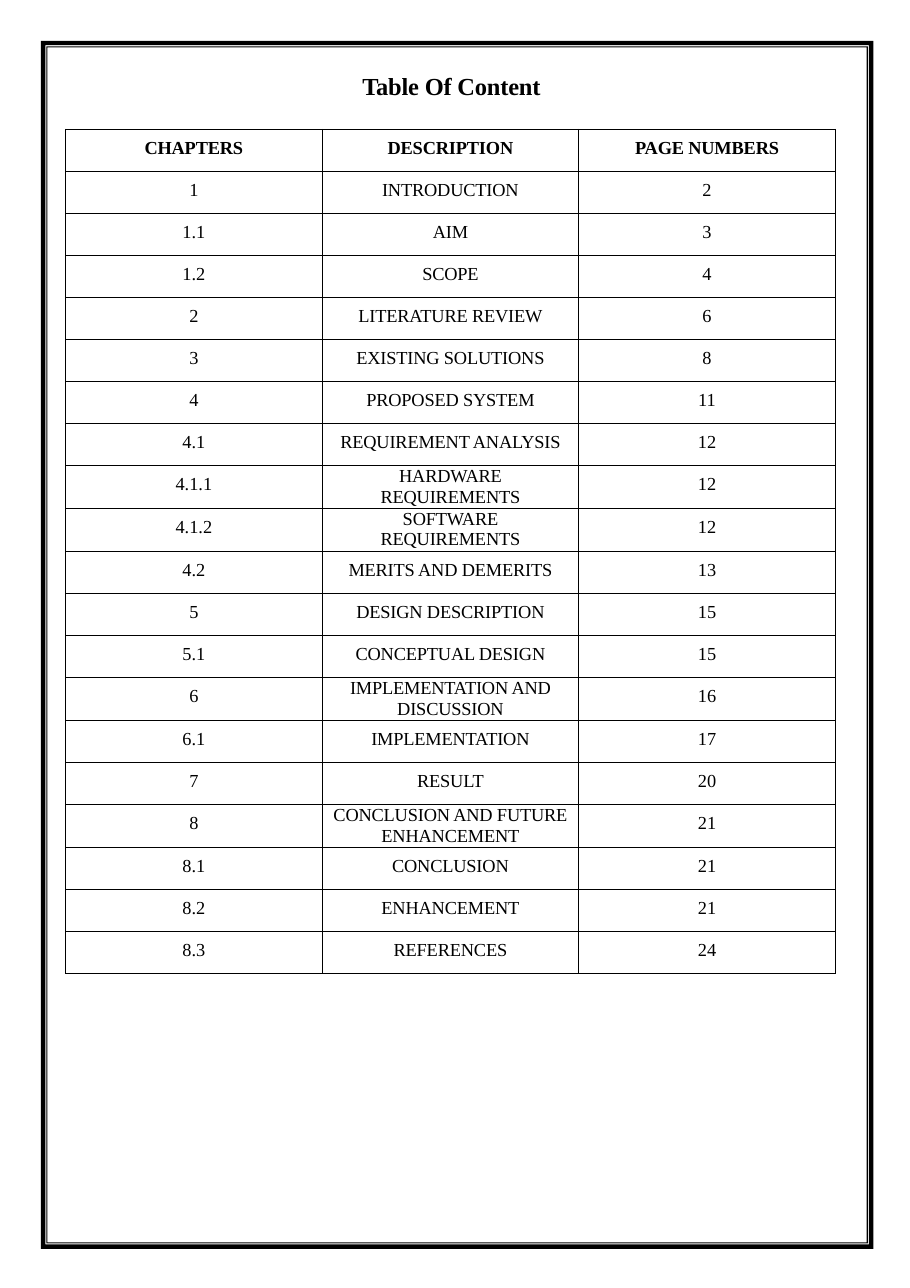
"""Build a bordered table-of-contents page."""
from dataclasses import dataclass

from lxml import etree
from pptx import Presentation
from pptx.dml.color import RGBColor
from pptx.enum.text import PP_ALIGN
from pptx.oxml.ns import qn
from pptx.util import Pt

CENTER = PP_ALIGN.CENTER
BLANK_LAYOUT = 6


@dataclass(frozen=True)
class Theme:
    """Colours, font and type sizes of the page."""
    ink: str = "000000"
    font: str = "Times New Roman"
    title_size: float = 16
    body_size: float = 12
    rule_width: float = 0.5
    tracking: int = -10


THEME = Theme()

PAGE_WIDTH, PAGE_HEIGHT = 594.72, 841.68
FRAME_LEFT, FRAME_TOP = 26.7, 26.7
FRAME_RIGHT, FRAME_BOTTOM = 570.7, 816.2
FRAME_INSETS = (0, 2.9, 3.6, 4.3)

TABLE_LEFT, TABLE_TOP = 42.85, 84.5
COLUMN_WIDTH = 167.7
ROW_HEIGHT, TALL_ROW_HEIGHT = 27.47, 28.1
TALL_LINE_SPACING = 13.2

HEADINGS = ("CHAPTERS", "DESCRIPTION", "PAGE NUMBERS")
ENTRIES = (
    ("1", "INTRODUCTION", "2"),
    ("1.1", "AIM", "3"),
    ("1.2", "SCOPE", "4"),
    ("2", "LITERATURE REVIEW", "6"),
    ("3", "EXISTING SOLUTIONS", "8"),
    ("4", "PROPOSED SYSTEM", "11"),
    ("4.1", "REQUIREMENT ANALYSIS", "12"),
    ("4.1.1", "HARDWARE REQUIREMENTS", "12"),
    ("4.1.2", "SOFTWARE REQUIREMENTS", "12"),
    ("4.2", "MERITS AND DEMERITS", "13"),
    ("5", "DESIGN DESCRIPTION", "15"),
    ("5.1", "CONCEPTUAL DESIGN", "15"),
    ("6", "IMPLEMENTATION AND DISCUSSION", "16"),
    ("6.1", "IMPLEMENTATION", "17"),
    ("7", "RESULT", "20"),
    ("8", "CONCLUSION AND FUTURE ENHANCEMENT", "21"),
    ("8.1", "CONCLUSION", "21"),
    ("8.2", "ENHANCEMENT", "21"),
    ("8.3", "REFERENCES", "24"),
)
TALL_CHAPTERS = {"4.1.1", "4.1.2", "6", "8"}


def style_text(paragraph, size, bold=False, tracking=0):
    """Apply the theme's type to every run of a paragraph."""
    for run in paragraph.runs:
        run.font.name = THEME.font
        run.font.size = Pt(size)
        run.font.bold = bold
        run.font.color.rgb = RGBColor.from_string(THEME.ink)
        run.font._element.set("spc", str(tracking))


def set_margins(box, left, top, right, bottom):
    """Set the inner margins of a cell or text frame."""
    box.margin_left, box.margin_top = Pt(left), Pt(top)
    box.margin_right, box.margin_bottom = Pt(right), Pt(bottom)


def add_title(slide, text):
    """Add the page heading."""
    title = slide.shapes.add_textbox(Pt(233.9), Pt(44.8), Pt(122.4), Pt(21.6))
    frame = title.text_frame
    frame.word_wrap = True
    set_margins(frame, 0, 1.8, 0, 0)
    frame.text = text
    heading = frame.paragraphs[0]
    heading.alignment = CENTER
    style_text(heading, THEME.title_size, True, THEME.tracking)


def rule_cell(cell):
    """Draw a thin line on all four sides of a cell."""
    properties = cell._tc.get_or_add_tcPr()
    for side in ("a:lnL", "a:lnR", "a:lnT", "a:lnB"):
        line = etree.SubElement(properties, qn(side), w=str(Pt(THEME.rule_width)))
        fill = etree.SubElement(line, qn("a:solidFill"))
        etree.SubElement(fill, qn("a:srgbClr"), val=THEME.ink)


def fill_cell(cell, text, bold, tracked, wrapped):
    """Write one centred table cell."""
    rule_cell(cell)
    cell.fill.background()
    if wrapped:
        set_margins(cell, 6, 0.7, 6, 0)
    else:
        set_margins(cell, 0, 5.5, 0, 0)
    cell.text = text
    entry = cell.text_frame.paragraphs[0]
    entry.alignment = CENTER
    if wrapped:
        entry.line_spacing = Pt(TALL_LINE_SPACING)
    style_text(entry, THEME.body_size, bold, THEME.tracking if tracked else 0)


def add_contents(slide):
    """Add the table of chapters, descriptions and page numbers."""
    rows = (HEADINGS, *ENTRIES)
    heights = [TALL_ROW_HEIGHT if row[0] in TALL_CHAPTERS else ROW_HEIGHT
               for row in rows]
    contents = slide.shapes.add_table(
        len(rows), len(HEADINGS), Pt(TABLE_LEFT), Pt(TABLE_TOP),
        Pt(COLUMN_WIDTH * len(HEADINGS)), Pt(sum(heights))).table
    contents.first_row = False
    contents.horz_banding = False
    for column in contents.columns:
        column.width = Pt(COLUMN_WIDTH)
    for row_index, (row, height) in enumerate(zip(rows, heights)):
        contents.rows[row_index].height = Pt(height)
        is_heading = row_index == 0
        for column_index, text in enumerate(row):
            is_description = column_index == 1
            fill_cell(contents.cell(row_index, column_index), text, is_heading,
                      is_heading or is_description,
                      is_description and row[0] in TALL_CHAPTERS)


def frame_corners(inset):
    """Return the page frame's corners, moved inwards by an inset."""
    left, top = Pt(FRAME_LEFT + inset), Pt(FRAME_TOP + inset)
    right, bottom = Pt(FRAME_RIGHT - inset), Pt(FRAME_BOTTOM - inset)
    return [(left, top), (right, top), (right, bottom), (left, bottom)]


def add_page_frame(slide):
    """Add the thick and thin border as one outline of nested rectangles."""
    outer, *nested = [frame_corners(inset) for inset in FRAME_INSETS]
    builder = slide.shapes.build_freeform(*outer[0])
    builder.add_line_segments(outer[1:], close=True)
    for corners in nested:
        builder.move_to(*corners[0])
        builder.add_line_segments(corners[1:], close=True)
    border = builder.convert_to_shape()
    border.shadow.inherit = False
    border.fill.solid()
    border.fill.fore_color.rgb = RGBColor.from_string(THEME.ink)
    border.line.fill.background()


def main():
    """Build and save the page."""
    presentation = Presentation()
    presentation.slide_width = Pt(PAGE_WIDTH)
    presentation.slide_height = Pt(PAGE_HEIGHT)
    slide = presentation.slides.add_slide(presentation.slide_layouts[BLANK_LAYOUT])
    add_title(slide, "Table Of Content")
    add_contents(slide)
    add_page_frame(slide)
    presentation.save("out.pptx")


if __name__ == "__main__":
    main()
